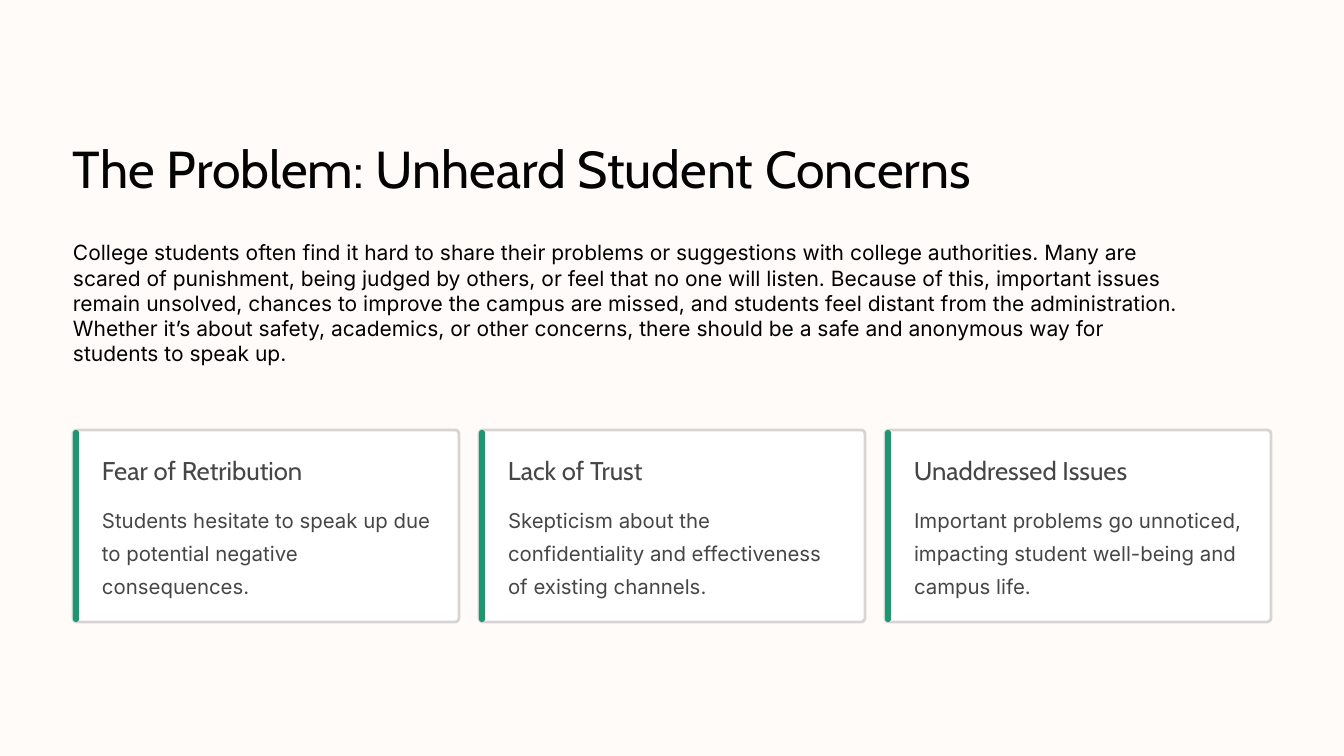
from pptx import Presentation
from pptx import util as u
from pptx.dml.color import RGBColor
from pptx.enum import shapes, text

COLOURS = {
    "background": "FEFBF8",
    "title": "030303",
    "intro": "000000",
    "card": "FFFFFF",
    "border": "D8D4D4",
    "accent": "1C9770",
    "card_text": "464646",
}
HEADING_FONT, BODY_FONT = "Cabin", "Inter"
LEFT, CARD_TOP, CARD_WIDTH, CARD_HEIGHT, CARD_PITCH = 73, 430, 386, 192, 406
INTRO = (
    "College students often find it hard to share their problems or suggestions "
    "with college authorities. Many are scared of punishment, being judged by others, "
    "or feel that no one will listen. Because of this, important issues remain unsolved, "
    "chances to improve the campus are missed, and students feel distant from the "
    "administration. Whether it’s about safety, academics, or other concerns, there "
    "should be a safe and anonymous way for students to speak up."
)
CONCERNS = [
    ("Fear of Retribution",
     "Students hesitate to speak up due to potential negative consequences."),
    ("Lack of Trust",
     "Skepticism about the confidentiality and effectiveness of existing channels."),
    ("Unaddressed Issues",
     "Important problems go unnoticed, impacting student well-being and campus life."),
]


def px(length):
    return u.Emu(round(length * 914400 / 84))


def colour(name):
    return RGBColor.from_string(COLOURS[name])


class ProblemSlide:
    """Draws the styled parts of one slide, with lengths in px."""

    def __init__(self, deck):
        self.slide = deck.slides.add_slide(deck.slide_layouts[5])
        fill = self.slide.background.fill
        fill.solid()
        fill.fore_color.rgb = colour("background")

    def set_wording(self, holder, wording, font, size, ink, spacing=None):
        frame = holder.text_frame
        frame.margin_left = frame.margin_right = frame.margin_top = frame.margin_bottom = 0
        frame.word_wrap = True
        frame.auto_size = text.MSO_AUTO_SIZE.NONE
        frame.vertical_anchor = text.MSO_ANCHOR.TOP
        paragraph = frame.paragraphs[0]
        paragraph.alignment = text.PP_ALIGN.LEFT
        if spacing:
            paragraph.line_spacing = u.Pt(spacing)
        run = paragraph.add_run()
        run.text = wording
        run.font.name = font
        run.font.size = u.Pt(size)
        run.font.color.rgb = colour(ink)

    def title(self, box, wording):
        heading = self.slide.shapes.title
        heading.left, heading.top, heading.width, heading.height = map(px, box)
        self.set_wording(heading, wording, HEADING_FONT, 44.5, "title", 55.5)

    def label(self, box, *style):
        self.set_wording(self.slide.shapes.add_textbox(*map(px, box)), *style)

    def panel(self, box, rounding, fill, border=None):
        panel = self.slide.shapes.add_shape(
            shapes.MSO_SHAPE.ROUNDED_RECTANGLE, *map(px, box))
        panel.adjustments[0] = rounding
        panel.shadow.inherit = False
        panel.fill.solid()
        panel.fill.fore_color.rgb = colour(fill)
        if border:
            panel.line.color.rgb = colour(border)
            panel.line.width = u.Pt(2.4)
        else:
            panel.line.fill.background()

    def card(self, left, concern, detail):
        self.panel((left, CARD_TOP, CARD_WIDTH, CARD_HEIGHT), 0.02, "card", "border")
        self.panel((left, CARD_TOP, 6, CARD_HEIGHT), 0.5, "accent")
        self.label((left + 29, CARD_TOP + 24, 260, 33),
                   concern, HEADING_FONT, 22, "card_text", 27.5)
        self.label((left + 29, CARD_TOP + 69, 333, 100),
                   detail, BODY_FONT, 17.5, "card_text", 28.5)


def main():
    deck = Presentation()
    deck.slide_width, deck.slide_height = px(1344), px(756)
    problem = ProblemSlide(deck)
    problem.title((LEFT, 134, 1022, 66), "The Problem: Unheard Student Concerns")
    problem.label((LEFT, 240, 1117, 166), INTRO, BODY_FONT, 18, "intro")
    for column, (concern, detail) in enumerate(CONCERNS):
        problem.card(LEFT + column * CARD_PITCH, concern, detail)
    deck.save("out.pptx")


if __name__ == "__main__":
    main()
